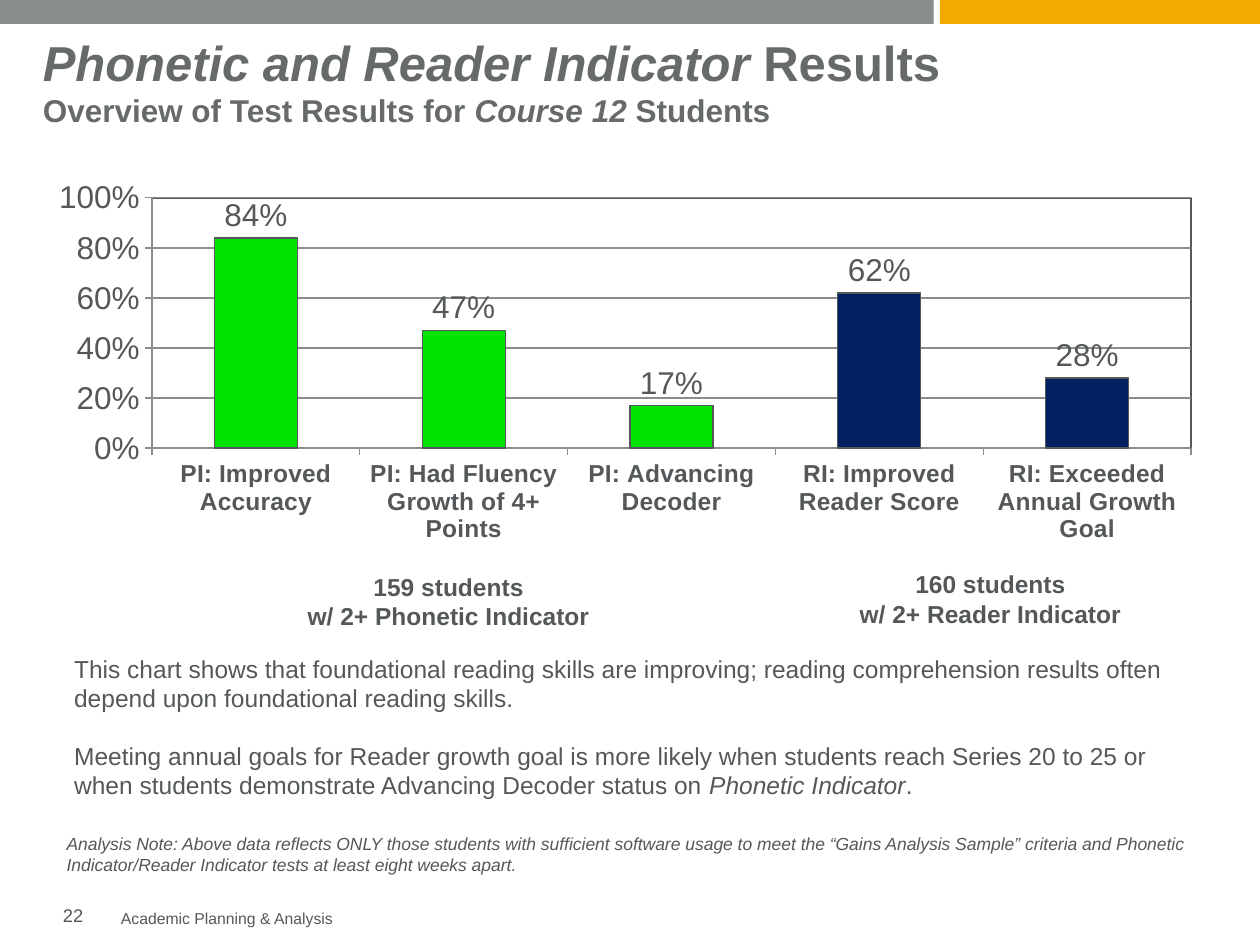
from lxml import etree
from pptx import Presentation
from pptx.chart.data import CategoryChartData
from pptx.dml.color import RGBColor
from pptx.enum.chart import XL_CHART_TYPE, XL_LABEL_POSITION, XL_TICK_MARK
from pptx.enum.shapes import MSO_SHAPE
from pptx.enum.text import MSO_ANCHOR, PP_ALIGN
from pptx.oxml.ns import qn
from pptx.util import Inches, Pt

GRAY = RGBColor(0x89, 0x8D, 0x8D)
GOLD = RGBColor(0xF2, 0xA9, 0x00)
HEAD = RGBColor(0x66, 0x6A, 0x6A)
INK = RGBColor(0x54, 0x58, 0x5A)
GREEN = RGBColor(0x00, 0xE3, 0x02)
NAVY = RGBColor(0x00, 0x20, 0x60)
WHITE = RGBColor(0xFF, 0xFF, 0xFF)

COLUMN = XL_CHART_TYPE.COLUMN_CLUSTERED
OUT_END = XL_LABEL_POSITION.OUTSIDE_END
TICK_OUT = XL_TICK_MARK.OUTSIDE
RECT = MSO_SHAPE.RECTANGLE
TOP, BOTTOM = MSO_ANCHOR.TOP, MSO_ANCHOR.BOTTOM
LEFT, CENTER = PP_ALIGN.LEFT, PP_ALIGN.CENTER

FACE = "Arial"
UNIT = 0.1  # inches per grid column and row
COLS, ROWS = 100, 75
PAD = (0.1, 0.05, 0.1, 0.05)
FLUSH = (0, 0.05, 0, 0)


def grid(*counts):
    return [Inches(n * UNIT) for n in counts]


class Deck:
    """Holds the style and the current slide; boxes are (col, row, cols, rows)."""

    def __init__(self):
        self.prs = Presentation()
        self.prs.slide_width, self.prs.slide_height = grid(COLS, ROWS)
        self.slide = self.prs.slides.add_slide(self.prs.slide_layouts[6])

    def font(self, font, size, color=INK, bold=False, italic=False):
        font.name, font.size = FACE, Pt(size)
        font.bold, font.italic = bold, italic
        font.color.rgb = color

    def bar(self, box, color):
        shape = self.slide.shapes.add_shape(RECT, *grid(*box))
        shape.shadow.inherit = False
        shape.fill.solid()
        shape.fill.fore_color.rgb = color
        shape.line.fill.background()

    def text(self, box, paras, size, align=LEFT, anchor=TOP, pad=PAD, gap=0,
             color=INK, bold=False, italic=False):
        """Each paragraph is a list of plain strings and (string, style) pairs.

        A style is a dict of font attributes that differ from the paragraph.
        """
        frame = self.slide.shapes.add_textbox(*grid(*box)).text_frame
        frame.word_wrap, frame.vertical_anchor = True, anchor
        (frame.margin_left, frame.margin_top,
         frame.margin_right, frame.margin_bottom) = map(Inches, pad)
        for i, runs in enumerate(paras):
            para = frame.add_paragraph() if i else frame.paragraphs[0]
            para.alignment = align
            para.space_before = Pt(gap if i else 0)
            self.font(para.font, size, color, bold, italic)
            for part in runs:
                words, style = (part, {}) if isinstance(part, str) else part
                run = para.add_run()
                run.text = words
                for key, value in style.items():
                    setattr(run.font, key, value)

    def chart(self, box, name, data, marked, inner):
        """Column chart; marked maps point numbers to colours.

        inner is the plot's x, y, w, h as shares of the chart.
        """
        source = CategoryChartData(number_format="0%")
        source.categories = list(data)
        source.add_series(name, list(data.values()))
        chart = self.slide.shapes.add_chart(COLUMN, *grid(*box), source).chart
        chart.has_legend = chart.has_title = False
        self.font(chart.font, 18)
        self.axes(chart)
        plot = chart.plots[0]
        plot.gap_width, plot.vary_by_categories = 150, False
        self.labels(plot)
        series = plot.series[0]
        for part, color in [(series, GREEN)] + [
                (series.points[i], hue) for i, hue in marked.items()]:
            part.format.fill.solid()
            part.format.fill.fore_color.rgb = color
            part.format.line.color.rgb = INK
            part.format.line.width = Pt(0.75)
        self.frame(chart, inner)

    def axes(self, chart):
        cat, val = chart.category_axis, chart.value_axis
        for axis in (cat, val):
            axis.major_tick_mark = TICK_OUT
            axis.format.line.color.rgb = GRAY
        self.font(cat.tick_labels.font, 14, bold=True)
        self.font(val.tick_labels.font, 18)
        val.minimum_scale, val.maximum_scale, val.major_unit = 0, 1, 0.2
        val.tick_labels.number_format = "0%"
        val.tick_labels.number_format_is_linked = False
        val.major_gridlines.format.line.color.rgb = GRAY

    def labels(self, plot):
        plot.has_data_labels = True
        labels = plot.data_labels
        labels.show_value, labels.position = True, OUT_END
        labels.number_format = "0%"
        labels.number_format_is_linked = False
        self.font(labels.font, 18)

    def frame(self, chart, inner):
        """Fixes the inner plot area and gives it a white fill and thin edge."""
        area = chart._chartSpace.chart.plotArea
        for old in area.findall(qn("c:layout")):
            area.remove(old)
        layout = etree.Element(qn("c:layout"))
        area.insert(0, layout)
        manual = etree.SubElement(layout, qn("c:manualLayout"))
        pairs = [("layoutTarget", "inner"), ("xMode", "edge"), ("yMode", "edge")]
        for tag, value in pairs + list(zip("xywh", inner)):
            etree.SubElement(manual, qn("c:" + tag)).set("val", str(value))
        look = etree.SubElement(area, qn("c:spPr"))
        edge = etree.Element(qn("a:ln"), w=str(Pt(0.75)))
        for holder, color in ((look, WHITE), (edge, INK)):
            fill = etree.SubElement(holder, qn("a:solidFill"))
            etree.SubElement(fill, qn("a:srgbClr")).set("val", str(color))
        look.append(edge)


def main():
    deck = Deck()
    deck.bar((0, 0, 74.1, 1.9), GRAY)
    deck.bar((74.6, 0, 25.4, 1.9), GOLD)

    slant, small = {"italic": True}, {"size": Pt(18)}
    deck.text((3.4, 2.1, 90, 12.5), [
        [("Phonetic and Reader Indicator ", slant), "Results"],
        [("Overview of Test Results for ", small),
         ("Course 12 ", small | slant), ("Students", small)],
    ], 28, pad=(0, 0.05, 0, 0.05), color=HEAD, bold=True)

    deck.chart((2.7, 13.6, 93.7, 30.1), "Series 1", {
        "PI: Improved Accuracy": 0.84,
        "PI: Had Fluency Growth of 4+ Points": 0.47,
        "PI: Advancing Decoder": 0.17,
        "RI: Improved Reader Score": 0.62,
        "RI: Exceeded Annual Growth Goal": 0.28,
    }, {3: NAVY, 4: NAVY}, (0.1, 0.07, 0.88, 0.66))

    for col, row, count, test in ((20.2, 44.9, 159, "Phonetic"),
                                  (63.2, 44.7, 160, "Reader")):
        deck.text((col, row, 30.8, 5.7),
                  [[f"{count} students"], [f"w/ 2+ {test} Indicator"]],
                  14, align=CENTER, bold=True)

    deck.text((4.9, 51.4, 90, 13.1), [
        ["This chart shows that foundational reading skills are improving; "
         "reading comprehension results often depend upon foundational "
         "reading skills."],
        ["Meeting annual goals for Reader growth goal is more likely when "
         "students reach Series 20 to 25 or when students demonstrate "
         "Advancing Decoder status on ", ("Phonetic Indicator", slant), "."],
    ], 14, gap=16)
    deck.text((4.3, 65.6, 91.2, 4.4), [
        ["Analysis Note: Above data reflects ONLY those students with "
         "sufficient software usage to meet the “Gains Analysis Sample” "
         "criteria and Phonetic Indicator/Reader Indicator tests at least "
         "eight weeks apart."],
    ], 10, italic=True)

    deck.text((5, 69.5, 4, 4), [["22"]], 10.5, anchor=BOTTOM, pad=FLUSH)
    deck.text((9.6, 69.6, 39.7, 4), [["Academic Planning & Analysis"]], 9,
              anchor=BOTTOM, pad=FLUSH)
    deck.prs.save("out.pptx")


if __name__ == "__main__":
    main()
